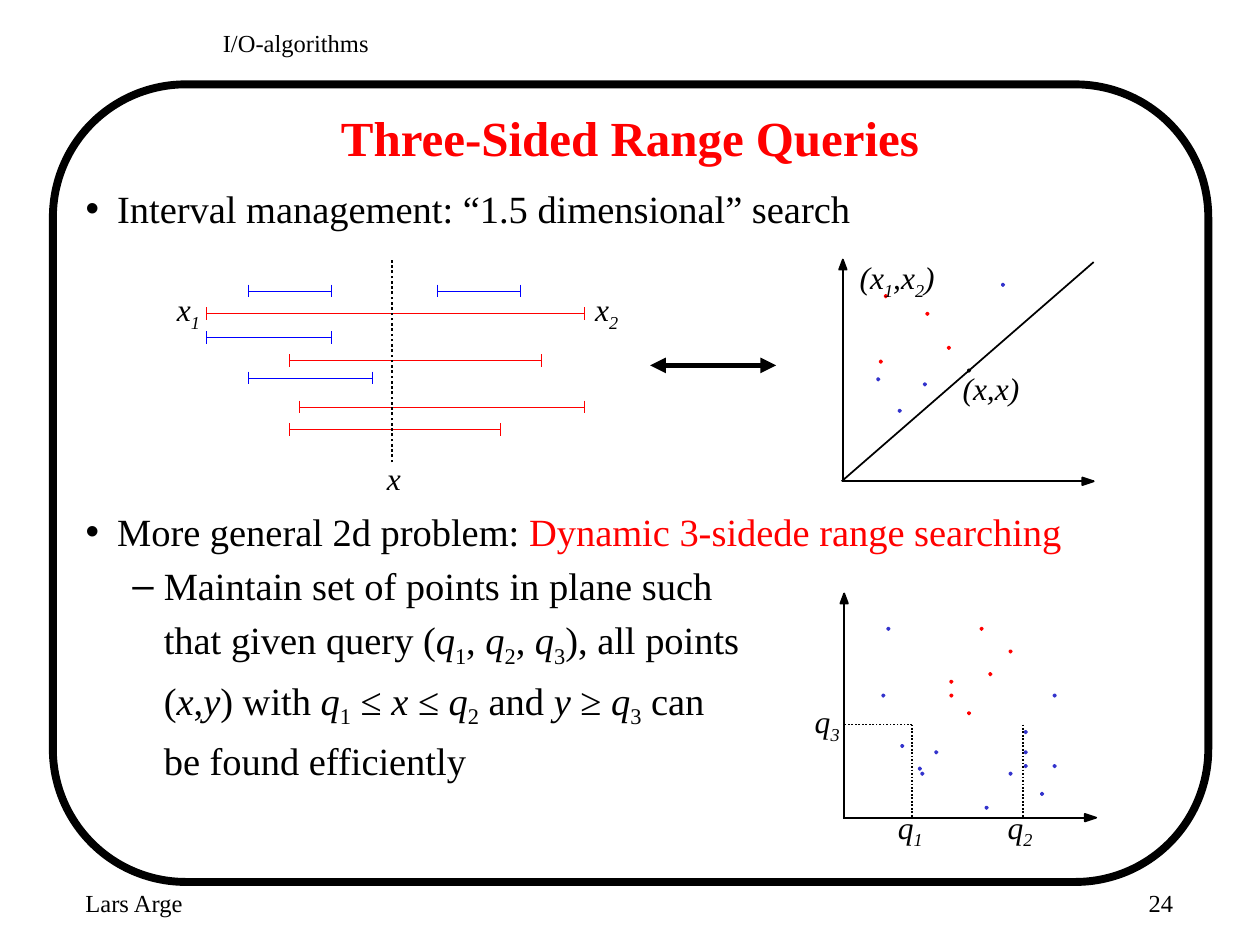
from lxml.etree import SubElement as Sub
from pptx import Presentation
from pptx.dml.color import RGBColor as Rgb
from pptx.enum.dml import MSO_LINE as Dash
from pptx.enum.shapes import MSO_CONNECTOR as Conn, MSO_SHAPE as Shape
from pptx.enum.text import MSO_ANCHOR as Anchor, MSO_AUTO_SIZE as Auto, PP_ALIGN as Align
from pptx.oxml.ns import qn
from pptx.util import Inches, Pt

INK = {"black": "000000", "red": "FF0000", "blue": "0000FF", "navy": "3333CC"}
FACE = "Times New Roman"


def tint(name):
    """Return the named colour."""
    return Rgb.from_string(INK[name])


def write(para, runs, size, **form):
    """Add (text, style) runs, where i is italic, s subscript and r red."""
    for text, style in runs:
        run = para.add_run()
        run.text = text
        look = {"name": FACE, "size": Pt(size), "italic": "i" in style, **form}
        for key, val in look.items():
            setattr(run.font, key, val)
        run.font.color.rgb = tint("red" if "r" in style else "black")
        if "s" in style:
            run._r.get_or_add_rPr().set("baseline", "-25000")


def place(shape, box):
    """Move a shape to a box in inches."""
    for key, val in zip(("left", "top", "width", "height"), box):
        setattr(shape, key, Inches(val))


def line(shapes, start, end, ink="black", width=1, dash=None):
    """Draw a straight line between two points."""
    link = shapes.add_connector(Conn.STRAIGHT, *map(Inches, start + end))
    link.line.color.rgb = tint(ink)
    link.line.width = Pt(width)
    if dash:
        link.line.dash_style = dash
    Sub(link._element.spPr, qn("a:effectLst"))
    return link


def poly(shapes, points, fill="black", edge="black"):
    """Draw a closed, filled outline."""
    spots = [(Inches(x), Inches(y)) for x, y in points]
    pen = shapes.build_freeform(*spots[0])
    pen.add_line_segments(spots[1:], close=True)
    form = pen.convert_to_shape()
    form.shadow.inherit = False
    form.fill.solid()
    form.fill.fore_color.rgb = tint(fill)
    form.line.color.rgb = tint(edge)
    form.line.width = Pt(1)


def label(shapes, x, y, width, runs):
    """Place a small centred label with no margins."""
    frame = shapes.add_textbox(*map(Inches, (x, y, width, 0.3))).text_frame
    for side in ("left", "right", "top", "bottom"):
        setattr(frame, f"margin_{side}", 0)
    frame.word_wrap = False
    frame.auto_size = Auto.SHAPE_TO_FIT_TEXT
    frame.paragraphs[0].alignment = Align.CENTER
    write(frame.paragraphs[0], runs, 18)


def note(slide, box, text, align=Align.LEFT):
    """Place a header or footer text."""
    frame = slide.shapes.add_textbox(*map(Inches, box)).text_frame
    frame.word_wrap = True
    frame.paragraphs[0].alignment = align
    write(frame.paragraphs[0], [(text, "")], 14)


def border(slide, box):
    """Draw the rounded frame of the slide."""
    ring = slide.shapes.add_shape(Shape.FLOWCHART_ALTERNATE_PROCESS, *map(Inches, box))
    ring.shadow.inherit = False
    ring.fill.background()
    ring.line.color.rgb = tint("black")
    ring.line.width = Pt(4.5)


def title(slide, box):
    """Fill the title placeholder."""
    head = slide.shapes.title
    place(head, box)
    frame = head.text_frame
    frame.auto_size = Auto.NONE
    frame.vertical_anchor = Anchor.MIDDLE
    frame.paragraphs[0].alignment = Align.CENTER
    write(frame.paragraphs[0], [("Three-Sided Range Queries", "r")], 28, bold=True)


def var(num):
    """Return the runs of q with a subscript."""
    return [("q", "i"), (num, "s")]


def body(slide, box):
    """Fill the body placeholder with the bullet list."""
    rows = [
        (0, "•", 0, [("Interval management: “1.5 dimensional” search", "")]),
        (0, "•", 158, [("More general 2d problem: ", ""),
                       ("Dynamic 3-sidede range searching", "r")]),
        (1, "–", 4.8, [("Maintain set of points in plane such", "")]),
        (1, None, 4.4, [("that given query (", ""), *var("1"), (", ", ""), *var("2"),
                        (", ", ""), *var("3"), ("), all points", "")]),
        (1, None, 4.4, [("(", ""), ("x", "i"), (",", ""), ("y", "i"), (") with ", ""),
                        *var("1"), (" ≤ ", ""), ("x ", "i"), ("≤ ", ""), *var("2"),
                        (" and ", ""), ("y ", "i"), ("≥ ", ""), *var("3"), (" can", "")]),
        (1, None, 4.4, [("be found efficiently", "")]),
    ]
    hold = slide.placeholders[1]
    place(hold, box)
    frame = hold.text_frame
    frame.auto_size = Auto.NONE
    frame.vertical_anchor = Anchor.TOP
    for num, (level, mark, gap, runs) in enumerate(rows):
        para = frame.add_paragraph() if num else frame.paragraphs[0]
        para.level = level
        prop = para._p.get_or_add_pPr()
        prop.set("marL", str(Inches((0.25, 0.62)[level])))
        prop.set("indent", str(Inches(-0.25 if mark else 0)))
        if mark:
            Sub(prop, qn("a:buChar")).set("char", mark)
        else:
            Sub(prop, qn("a:buNone"))
        para.space_before = Pt(gap)
        write(para, runs, 22)


def spans(slide, box):
    """Draw the intervals cut by the query line."""
    shapes = slide.shapes.add_group_shape().shapes
    left, top, width, height = box
    bars = [(0.57, 1.23, 0.25, "blue"), (2.07, 2.73, 0.25, "blue"),
            (0.24, 3.24, 0.43, "red"), (0.24, 1.23, 0.62, "blue"),
            (0.9, 2.9, 0.8, "red"), (0.57, 1.56, 0.94, "blue"),
            (0.98, 3.24, 1.17, "red"), (0.9, 2.57, 1.35, "red")]
    for start, end, drop, ink in bars:
        y = top + drop
        line(shapes, (left + start, y), (left + end, y), ink, 0.5)
        for x in (left + start, left + end):
            line(shapes, (x, y - 0.05), (x, y + 0.05), ink, 0.5)
    mid = left + 1.71
    line(shapes, (mid, top + 1.61), (mid, top), width=1.5, dash=Dash.ROUND_DOT)
    label(shapes, mid - 0.04, top + height - 0.3, 0.11, [("x", "i")])
    for x, num in ((left, "1"), (left + width - 0.19, "2")):
        label(shapes, x, top + 0.24, 0.19, [("x", "i"), (num, "is")])


def plot(slide, box, dots, tags):
    """Draw axes, dots and labels, and return the group's shapes."""
    shapes = slide.shapes.add_group_shape().shapes
    left, top, width, height = box
    right, base, stem = left + width, top + height, left + 0.01
    line(shapes, (stem, top), (stem, base))
    line(shapes, (left, base), (right, base))
    poly(shapes, [(stem, top), (stem + 0.03, top + 0.08), (stem - 0.03, top + 0.08)])
    poly(shapes, [(right, base), (right - 0.09, base + 0.03), (right - 0.09, base - 0.03)])
    for fill, edge, spots in dots:
        for x, y in spots:
            x, y = left + x, top + y
            poly(shapes, [(x, y + 0.01), (x + 0.01, y), (x, y - 0.01), (x - 0.01, y)],
                 fill, edge)
    for x, y, wide, runs in tags:
        label(shapes, left + x, top + y, wide, runs)
    return shapes


def above(slide, box):
    """Draw intervals as points above the diagonal."""
    dots = [("black", "red", [(0.35, 0.29), (0.85, 0.7), (0.31, 0.81), (0.68, 0.43)]),
            ("black", "navy", [(0.29, 0.95), (1.28, 0.2), (0.66, 0.99), (0.46, 1.2)]),
            ("black", "black", [(1.01, 0.88)])]
    pair = [("(x", "i"), ("1", "is"), (",x", "i"), ("2", "is"), (")", "i")]
    tags = [(0.93, 0.87, 0.51, [("(x,x)", "i")]), (0.11, -0.01, 0.66, pair)]
    shapes = plot(slide, box, dots, tags)
    left, top, width, height = box
    line(shapes, (left, top + height), (left + width, top + 0.02))


def query(slide, box):
    """Draw the three-sided query among points."""
    reds = [(0.86, 0.7), (0.86, 0.81), (1, 0.95), (1.17, 0.64), (1.33, 0.46), (1.1, 0.28)]
    blues = [(0.36, 0.28), (0.32, 0.81), (1.68, 0.81), (1.68, 1.37), (1.45, 1.37),
             (1.45, 1.26), (1.45, 1.1), (0.74, 1.26), (0.61, 1.39), (1.58, 1.59),
             (1.33, 1.43), (1.14, 1.7), (0.63, 1.43), (0.47, 1.21)]
    tags = [(x, y, 0.21, [("q", "i"), (num, "is")])
            for x, y, num in ((-0.23, 0.86, "3"), (1.3, 1.7, "2"), (0.43, 1.7, "1"))]
    shapes = plot(slide, box, [("red", "red", reds), ("black", "navy", blues)], tags)
    left, top, _, height = box
    low, high, floor = left + 0.55, left + 1.43, top + 1.04
    for x in (low, high):
        line(shapes, (x, floor), (x, top + height), dash=Dash.ROUND_DOT)
    line(shapes, (low, floor), (left, floor), dash=Dash.ROUND_DOT)


def main():
    """Build and save the slide."""
    deck = Presentation()
    deck.slide_width, deck.slide_height = Inches(10), Inches(7.5)
    slide = deck.slides.add_slide(deck.slide_layouts[1])
    border(slide, (0.42, 0.67, 9.17, 6.33))
    note(slide, (0.58, 7, 2.08, 0.5), "Lars Arge")
    note(slide, (1.67, 0.17, 6.58, 0.42), "I/O-algorithms")
    note(slide, (7.33, 7, 2.08, 0.5), "24", Align.RIGHT)
    title(slide, (0.75, 0.75, 8.5, 0.67))
    body(slide, (0.58, 1.42, 8.96, 5.42))
    above(slide, (6.68, 2.06, 2, 1.76))
    spans(slide, (1.4, 2.06, 3.51, 1.88))
    both = line(slide.shapes, (5.16, 2.9), (6.16, 2.9), width=3)
    for end in ("headEnd", "tailEnd"):
        Sub(both.line._get_or_add_ln(), qn(f"a:{end}")).set("type", "triangle")
    query(slide, (6.69, 4.71, 2.01, 1.78))
    deck.save("out.pptx")


if __name__ == "__main__":
    main()
